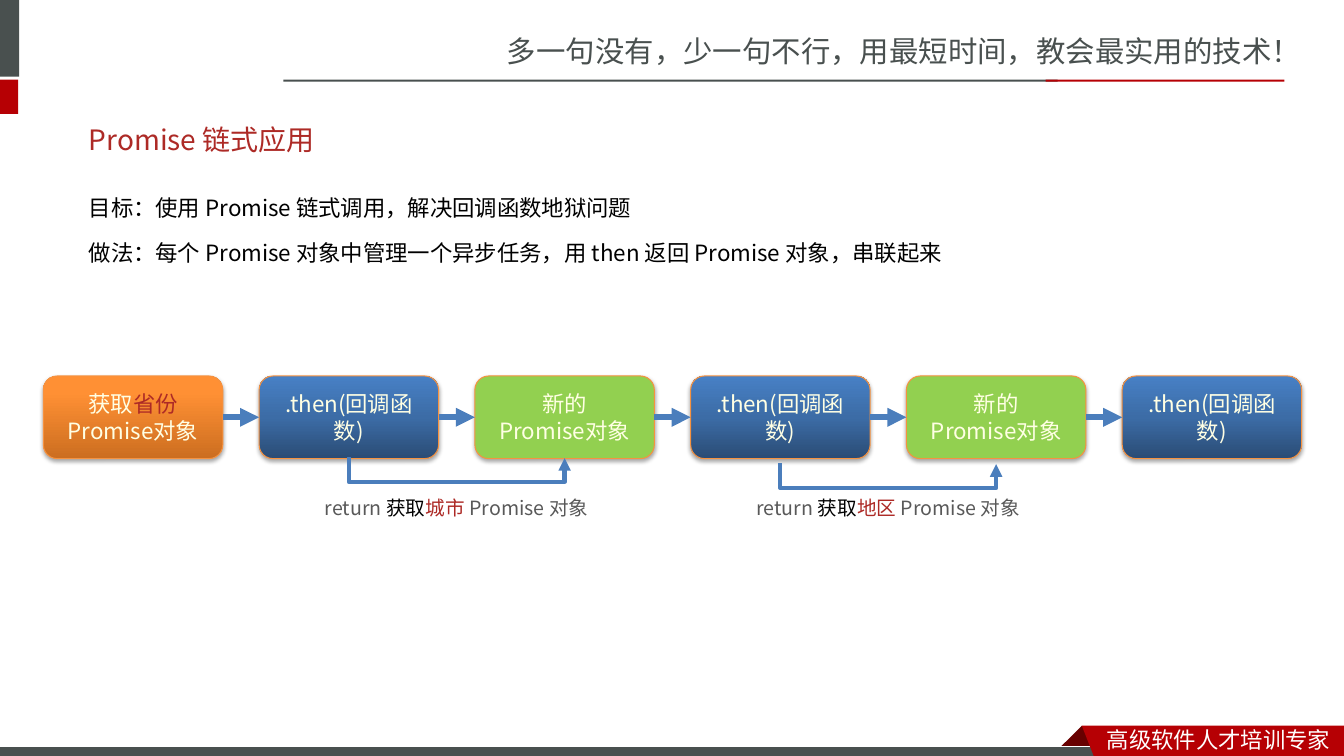
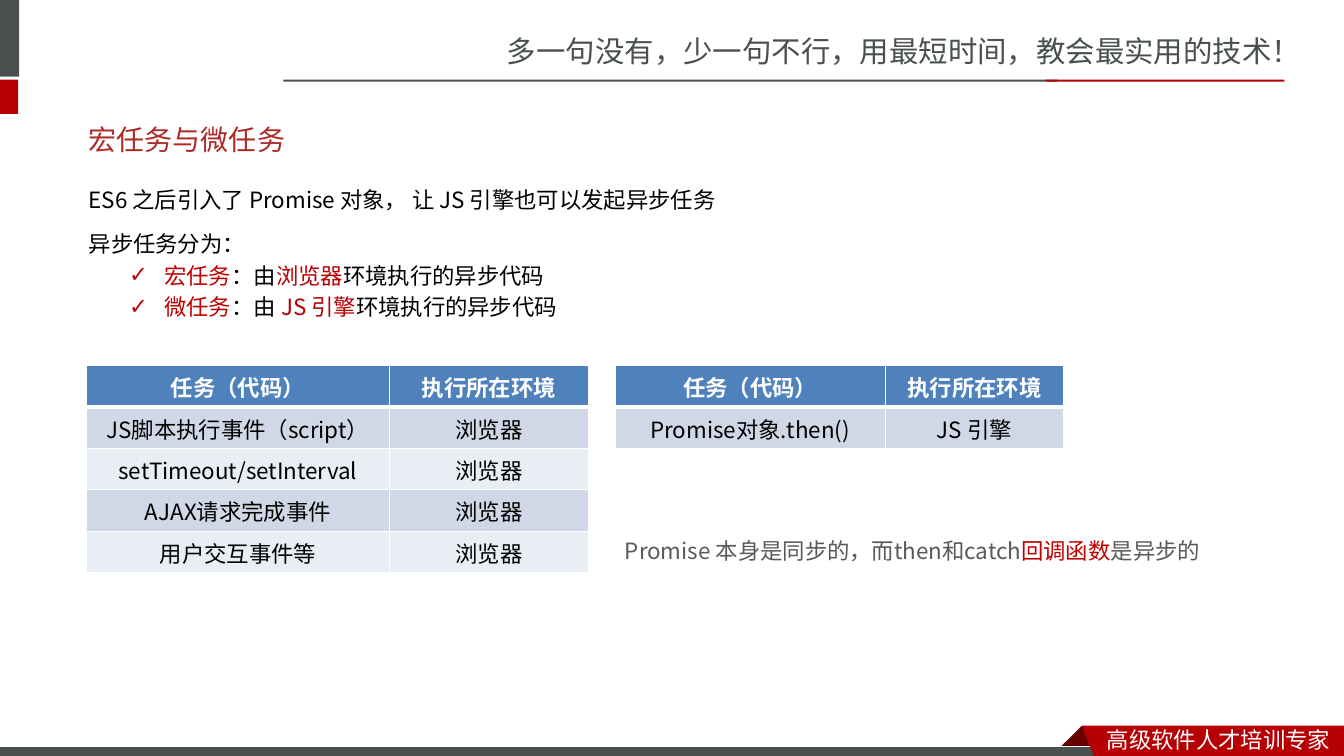
from dataclasses import dataclass

from lxml import etree
from pptx import Presentation
from pptx.dml.color import RGBColor
from pptx.enum.shapes import MSO_CONNECTOR, MSO_SHAPE
from pptx.enum.text import MSO_ANCHOR, MSO_AUTO_SIZE, PP_ALIGN
from pptx.oxml import parse_xml
from pptx.oxml.ns import nsdecls, qn
from pptx.util import Inches, Pt

RECT, ROUNDED = MSO_SHAPE.RECTANGLE, MSO_SHAPE.ROUNDED_RECTANGLE
STRAIGHT, ELBOW = MSO_CONNECTOR.STRAIGHT, MSO_CONNECTOR.ELBOW
LEFT, CENTER = PP_ALIGN.LEFT, PP_ALIGN.CENTER
MIDDLE = MSO_ANCHOR.MIDDLE
NO_AUTOFIT = MSO_AUTO_SIZE.NONE

FONT = "Noto Sans CJK JP"
BANNER_FONT = "Noto Sans CJK SC"
SLATE, CRIMSON, MAROON = "49504F", "B60004", "680000"
WHITE, BLACK, GREY = "FFFFFF", "000000", "595959"
TITLE_RED, ALERT_RED, ENGINE_RED = "AD2A26", "C00000", "B70004"
CREAM, ARROW_BLUE, NODE_EDGE = "FFFFE4", "4B7EBC", "F69240"
HEADER_BLUE, ROW_DARK, ROW_LIGHT = "4F81BD", "D0D8E8", "E9EDF4"
ORANGE_FADE = ((0, "CC6E20"), (80, "FF9034"), (100, "FF9136"))
BLUE_FADE = ((0, "2A4C75"), (50, "3C6CA6"), (100, "4780C5"))
GREEN = ((0, "92D050"),)

NODE_LEFT, NODE_TOP, NODE_PITCH = 0.43, 3.73, 2.14
NODE_WIDTH, NODE_HEIGHT = 1.78, 0.82


@dataclass(frozen=True)
class Run:
    text: str
    color: str | None = None


@dataclass(frozen=True)
class Band:
    left: float
    top: float
    width: float
    height: float
    color: str


@dataclass(frozen=True)
class Node:
    lines: tuple
    fade: tuple


@dataclass(frozen=True)
class ReturnLoop:
    source: int
    top: float
    subject: str


@dataclass(frozen=True)
class TaskTable:
    left: float
    columns: tuple
    rows: tuple


SIDE_AND_RULES = (
    Band(-0.06, 0, 0.25, 0.76, SLATE),
    Band(-0.06, 0.79, 0.24, 0.34, CRIMSON),
    Band(2.81, 0.79, 7.68, 0.02, SLATE),
    Band(10.37, 0.79, 2.37, 0.02, CRIMSON),
)
FOOTER_BAND = Band(-0.01, 7.41, 11, 0.12, SLATE)
FOOTER_FOLD = ((10.73, 7.2), (10.95, 7.42), (10.94, 7.43), (10.52, 7.43), (10.51, 7.42))
FOOTER_RIBBON = ((10.73, 7.2), (13.33, 7.2), (13.33, 7.54), (10.86, 7.53))

THEN_NODE = Node(((Run(".then(回调函数)"),),), BLUE_FADE)
NEW_PROMISE = Node(((Run("新的"),), (Run("Promise对象"),)), GREEN)
FIRST_PROMISE = Node(
    ((Run("获取"), Run("省份", TITLE_RED)), (Run("Promise对象"),)), ORANGE_FADE)
CHAIN = (FIRST_PROMISE, THEN_NODE, NEW_PROMISE, THEN_NODE, NEW_PROMISE, THEN_NODE)
LOOPS = (ReturnLoop(1, 4.54, "城市 "), ReturnLoop(3, 4.6, "地区 "))

TABLE_HEADER = ("任务（代码）", "执行所在环境")
TABLES = (
    TaskTable(0.86, (3, 1.98), (
        TABLE_HEADER,
        ("JS脚本执行事件（script）", "浏览器"),
        ("setTimeout/setInterval", "浏览器"),
        ("AJAX请求完成事件", "浏览器"),
        ("用户交互事件等", "浏览器"),
    )),
    TaskTable(6.1, (2.68, 1.77), (TABLE_HEADER, ("Promise对象.then()", "JS 引擎"))),
)


def rgb(color: str) -> RGBColor:
    return RGBColor.from_string(color)


def write(frame, paragraphs, *, size=16, color=BLACK, font=FONT, align=LEFT,
          bold=False, line_spacing=None) -> None:
    """Fill a text frame; each paragraph is a sequence of runs."""
    frame.word_wrap = True
    for index, runs in enumerate(paragraphs):
        paragraph = frame.paragraphs[0] if index == 0 else frame.add_paragraph()
        paragraph.alignment = align
        if line_spacing:
            paragraph.line_spacing = line_spacing
        for part in runs:
            run = paragraph.add_run()
            run.text = part.text
            run.font.size = Pt(size)
            run.font.bold = bold
            run.font.color.rgb = rgb(part.color or color)
            run.font.name = font
            latin = run._r.rPr.find(qn("a:latin"))
            latin.addnext(parse_xml(f'<a:ea {nsdecls("a")} typeface="{font}"/>'))


def add_text(slide, left: float, top: float, width: float, height: float,
             *runs: Run, **text_format) -> None:
    box = slide.shapes.add_textbox(Inches(left), Inches(top), Inches(width), Inches(height))
    write(box.text_frame, (runs,), **text_format)


def paint(shape, color: str) -> None:
    shape.shadow.inherit = False
    shape.fill.solid()
    shape.fill.fore_color.rgb = rgb(color)
    shape.line.fill.background()


def add_band(slide, band: Band):
    shape = slide.shapes.add_shape(
        RECT, Inches(band.left), Inches(band.top), Inches(band.width), Inches(band.height))
    paint(shape, band.color)
    return shape


def add_outline(slide, points, color: str) -> None:
    corners = [(Inches(x), Inches(y)) for x, y in points]
    builder = slide.shapes.build_freeform(*corners[0])
    builder.add_line_segments(corners[1:], close=True)
    paint(builder.convert_to_shape(), color)


def add_frame(slide) -> None:
    """Draw the bands, slogan and footer that every slide carries."""
    add_text(slide, 4.93, 0.28, 8.41, 0.47,
             Run("多一句没有，少一句不行，用最短时间，教会最实用的技术！"),
             size=21, color=SLATE, font=BANNER_FONT)
    for band in SIDE_AND_RULES:
        add_band(slide, band)
    add_outline(slide, FOOTER_FOLD, MAROON)
    footer = add_band(slide, FOOTER_BAND)
    footer.line.color.rgb = rgb(WHITE)
    footer.line.width = Pt(0.75)
    add_outline(slide, FOOTER_RIBBON, CRIMSON)
    add_text(slide, 10.88, 7.15, 2.45, 0.37, Run("高级软件人才培训专家"),
             color=WHITE, font=BANNER_FONT)


def place(placeholder, left: float, top: float, width: float, height: float) -> None:
    placeholder.left, placeholder.top = Inches(left), Inches(top)
    placeholder.width, placeholder.height = Inches(width), Inches(height)
    placeholder.text_frame.auto_size = NO_AUTOFIT


def set_bullet(paragraph, char: str = "", margin: float = 0, hanging: float = 0) -> None:
    properties = paragraph._p.get_or_add_pPr()
    properties.set("marL", str(Inches(margin)))
    properties.set("indent", str(-Inches(hanging)))
    bullet = etree.SubElement(properties, qn("a:buChar" if char else "a:buNone"))
    if char:
        bullet.set("char", char)


def start_slide(deck, title: str, body_top: float, body_width: float, body_lines):
    """Add a slide with its frame, title and lead lines; return slide and body."""
    slide = deck.slides.add_slide(deck.slide_layouts[1])
    add_frame(slide)
    heading, body = slide.placeholders[0], slide.placeholders[1]
    place(heading, 0.78, 1.1, 11.72, 0.57)
    heading.text_frame.vertical_anchor = MIDDLE
    write(heading.text_frame, ((Run(title),),), size=20, color=TITLE_RED)
    place(body, 0.78, body_top, body_width, 4.98)
    write(body.text_frame, [(Run(line),) for line in body_lines], line_spacing=1.5)
    for paragraph in body.text_frame.paragraphs:
        set_bullet(paragraph)
    return slide, body


def node_left(index: int) -> float:
    return NODE_LEFT + index * NODE_PITCH


def add_node(slide, index: int, node: Node) -> None:
    shape = slide.shapes.add_shape(
        ROUNDED, Inches(node_left(index)), Inches(NODE_TOP),
        Inches(NODE_WIDTH), Inches(NODE_HEIGHT))
    paint(shape, node.fade[0][1])
    shape.line.color.rgb = rgb(NODE_EDGE)
    shape.line.width = Pt(0.75)
    properties = shape.element.spPr
    if len(node.fade) > 1:
        stops = "".join(
            f'<a:gs pos="{position * 1000}"><a:srgbClr val="{color}"/></a:gs>'
            for position, color in node.fade)
        properties.replace(properties.find(qn("a:solidFill")), parse_xml(
            f'<a:gradFill {nsdecls("a")} rotWithShape="1"><a:gsLst>{stops}</a:gsLst>'
            '<a:lin ang="16200000" scaled="0"/></a:gradFill>'))
    properties.find(qn("a:effectLst")).append(parse_xml(
        f'<a:outerShdw {nsdecls("a")} blurRad="{Pt(3.1)}" dist="{Pt(1.8)}" dir="5400000" '
        'rotWithShape="0"><a:srgbClr val="000000"><a:alpha val="35000"/></a:srgbClr>'
        '</a:outerShdw>'))
    shape.text_frame.vertical_anchor = MIDDLE
    write(shape.text_frame, node.lines, color=CREAM, align=CENTER)


def add_arrow(slide, kind, x1: float, y1: float, x2: float, y2: float, weight: float):
    arrow = slide.shapes.add_connector(kind, Inches(x1), Inches(y1), Inches(x2), Inches(y2))
    arrow.line.color.rgb = rgb(ARROW_BLUE)
    arrow.line.width = Pt(weight)
    etree.SubElement(arrow.line._get_or_add_ln(), qn("a:tailEnd")).set("type", "triangle")
    etree.SubElement(arrow.element.spPr, qn("a:effectLst"))
    return arrow


def add_return_loop(slide, loop: ReturnLoop) -> None:
    """Draw a U-shaped arrow to the next node, with its label below."""
    rise, drop = 0.01, 0.25
    middle = node_left(loop.source) + NODE_WIDTH / 2 + NODE_PITCH / 2
    # A quarter turn stands the elbow on its side; the adjustment sets its depth
    arrow = add_arrow(slide, ELBOW, middle - rise / 2, loop.top - NODE_PITCH / 2,
                      middle + rise / 2, loop.top + NODE_PITCH / 2, 3)
    transform = arrow.element.spPr.find(qn("a:xfrm"))
    transform.set("rot", "16200000")
    transform.set("flipH", "1")
    geometry = arrow.element.spPr.find(qn("a:prstGeom"))
    guides = geometry.find(qn("a:avLst"))
    guides.append(parse_xml(
        f'<a:gd {nsdecls("a")} name="adj1" fmla="val {round(drop / rise * 100000)}"/>'))
    width = 2.84
    add_text(slide, middle - width / 2, 4.87, width, 0.34,
             Run("return "), Run("获取", BLACK), Run(loop.subject, TITLE_RED),
             Run("Promise 对象"), size=14, color=GREY, align=CENTER)


def set_borders(cell, top: float, bottom: float) -> None:
    properties = cell._tc.get_or_add_tcPr()
    for side, weight in (("L", 1), ("R", 1), ("T", top), ("B", bottom)):
        properties.append(parse_xml(
            f'<a:ln{side} {nsdecls("a")} w="{Pt(weight)}"><a:solidFill>'
            f'<a:srgbClr val="{WHITE}"/></a:solidFill></a:ln{side}>'))


def add_task_table(slide, spec: TaskTable) -> None:
    row_height = 0.41
    table = slide.shapes.add_table(
        len(spec.rows), len(spec.columns), Inches(spec.left), Inches(3.63),
        Inches(sum(spec.columns)), Inches(row_height * len(spec.rows))).table
    for column, width in zip(table.columns, spec.columns):
        column.width = Inches(width)
    for r, row in enumerate(spec.rows):
        is_header = r == 0
        fill = HEADER_BLUE if is_header else (ROW_LIGHT, ROW_DARK)[r % 2]
        for c, text in enumerate(row):
            cell = table.cell(r, c)
            set_borders(cell, top=3 if r == 1 else 1, bottom=3 if is_header else 1)
            cell.fill.solid()
            cell.fill.fore_color.rgb = rgb(fill)
            write(cell.text_frame, ((Run(text),),), align=CENTER, bold=is_header,
                  color=WHITE if is_header else BLACK)


def build_chain_slide(deck) -> None:
    slide, _ = start_slide(deck, "Promise 链式应用", 1.74, 11.72, (
        "目标：使用 Promise 链式调用，解决回调函数地狱问题",
        "做法：每个 Promise 对象中管理一个异步任务，用 then 返回 Promise 对象，串联起来"))
    for index, node in enumerate(CHAIN):
        add_node(slide, index, node)
    center = NODE_TOP + NODE_HEIGHT / 2
    for index in range(1, len(CHAIN)):
        add_arrow(slide, STRAIGHT, node_left(index - 1) + NODE_WIDTH, center,
                  node_left(index), center, 4.5)
    for loop in LOOPS:
        add_return_loop(slide, loop)


def build_task_slide(deck) -> None:
    slide, body = start_slide(deck, "宏任务与微任务", 1.66, 11.91, (
        "ES6 之后引入了 Promise 对象， 让 JS 引擎也可以发起异步任务", "异步任务分为："))
    for kind, link, engine in (("宏任务", "：由", "浏览器"), ("微任务", "：由 ", "JS 引擎")):
        item = body.text_frame.add_paragraph()
        item.level = 1
        set_bullet(item, "✓", margin=0.75, hanging=0.35)
        # Runs go through the shared writer, one paragraph at a time
        write(ItemFrame([item]), ((Run(kind, ALERT_RED), Run(link),
                                   Run(engine, ENGINE_RED), Run("环境执行的异步代码")),))
    for spec in TABLES:
        add_task_table(slide, spec)
    add_text(slide, 6.1, 5.28, 5.93, 0.37, Run("Promise 本身是同步的，而then和catch"),
             Run("回调函数", ALERT_RED), Run("是异步的"), color=GREY)


@dataclass
class ItemFrame:
    paragraphs: list
    word_wrap: bool = True


def main() -> None:
    deck = Presentation()
    deck.slide_width, deck.slide_height = Inches(13.33), Inches(7.5)
    build_chain_slide(deck)
    build_task_slide(deck)
    deck.save("out.pptx")


if __name__ == "__main__":
    main()
